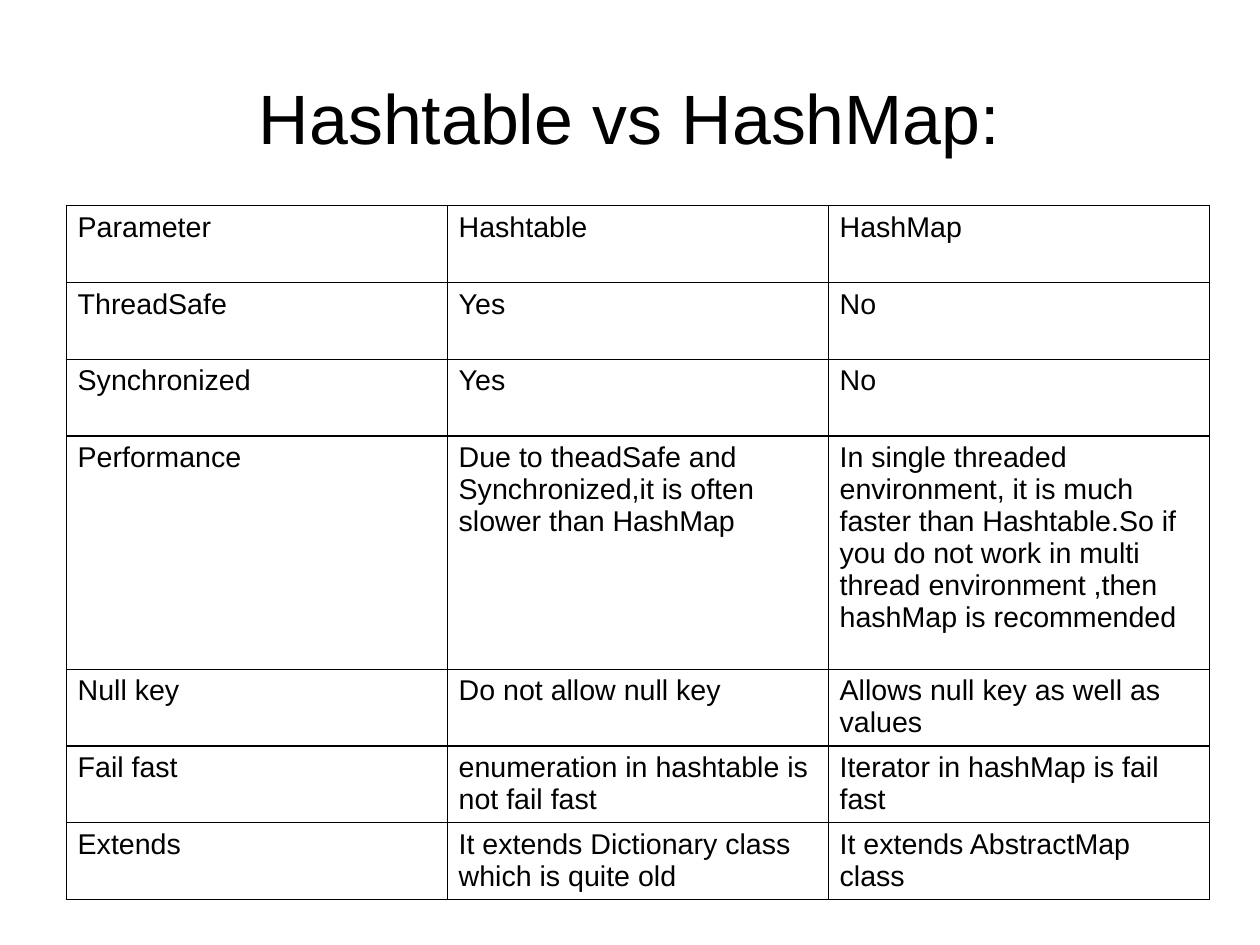
import pptx
import pptx.util
import pptx.dml.color
import pptx.enum.text
import pptx.oxml

Inches = pptx.util.Inches
BLACK = pptx.dml.color.RGBColor(0, 0, 0)
WHITE = pptx.dml.color.RGBColor(255, 255, 255)
NS = "http://schemas.openxmlformats.org/drawingml/2006/main"
WIDE, HIGH = pptx.util.Cm(28), pptx.util.Cm(21)
TALL = Inches(2.04)

ROWS = [
    ("Parameter", "Hashtable", "HashMap"),
    ("ThreadSafe", "Yes", "No"),
    ("Synchronized", "Yes", "No"),
    ("Performance",
     "Due to theadSafe and Synchronized,it is often slower than HashMap",
     "In single threaded environment, it is much faster than Hashtable.So if "
     "you do not work in multi thread environment ,then hashMap is recommended"),
    ("Null key", "Do not allow null key", "Allows null key as well as values"),
    ("Fail fast", "enumeration in hashtable is not fail fast",
     "Iterator in hashMap is fail fast"),
    ("Extends", "It extends Dictionary class which is quite old",
     "It extends AbstractMap class"),
]


def style(font, size):
    look = {"name": "Arial", "size": pptx.util.Pt(size), "bold": False}
    for name, value in look.items():
        setattr(font, name, value)
    font.color.rgb = BLACK


def title(slide, text, box):
    shape = slide.shapes.title
    for side, value in zip(("left", "top", "width", "height"), box):
        setattr(shape, side, int(value))
    frame = shape.text_frame
    look = {"margin_left": 0, "margin_right": 0, "margin_top": 0,
            "margin_bottom": 0, "word_wrap": True,
            "vertical_anchor": pptx.enum.text.MSO_ANCHOR.MIDDLE}
    for name, value in look.items():
        setattr(frame, name, value)
    frame.text = text
    line = frame.paragraphs[0]
    line.alignment = pptx.enum.text.PP_ALIGN.CENTER
    style(line.runs[0].font, 44)


def border(cell):
    props = cell._tc.get_or_add_tcPr()
    for place, side in enumerate("LRTB"):
        props.insert(place, pptx.oxml.parse_xml(
            f'<a:ln{side} xmlns:a="{NS}" w="12700"><a:solidFill>'
            f'<a:srgbClr val="{BLACK}"/></a:solidFill></a:ln{side}>'))


def table(slide, rows, box):
    """Fill the box with equal columns; the Performance row is taller."""
    left, top, width, height = box
    count = len(rows[0])
    frame = slide.shapes.add_table(len(rows), count, left, top, width, height)
    grid = frame.table
    grid.first_row = grid.horz_banding = False
    for col in grid.columns:
        col.width = width // count
    short = (height - TALL) // (len(rows) - 1)
    for row, texts in zip(grid.rows, rows):
        row.height = TALL if texts[0] == "Performance" else short
        for cell, text in zip(row.cells, texts):
            cell.text = text
            style(cell.text_frame.paragraphs[0].runs[0].font, 18)
            cell.fill.solid()
            cell.fill.fore_color.rgb = WHITE
            border(cell)


def main():
    deck = pptx.Presentation()
    deck.slide_width = WIDE
    deck.slide_height = HIGH
    slide = deck.slides.add_slide(deck.slide_layouts[5])
    title(slide, "Hashtable vs HashMap:",
          (WIDE * 0.05, HIGH * 0.04, WIDE * 0.9, HIGH / 6))
    table(slide, ROWS, [Inches(n) for n in (0.58, 1.8, 10, 6.07)])
    deck.save("out.pptx")


if __name__ == "__main__":
    main()
